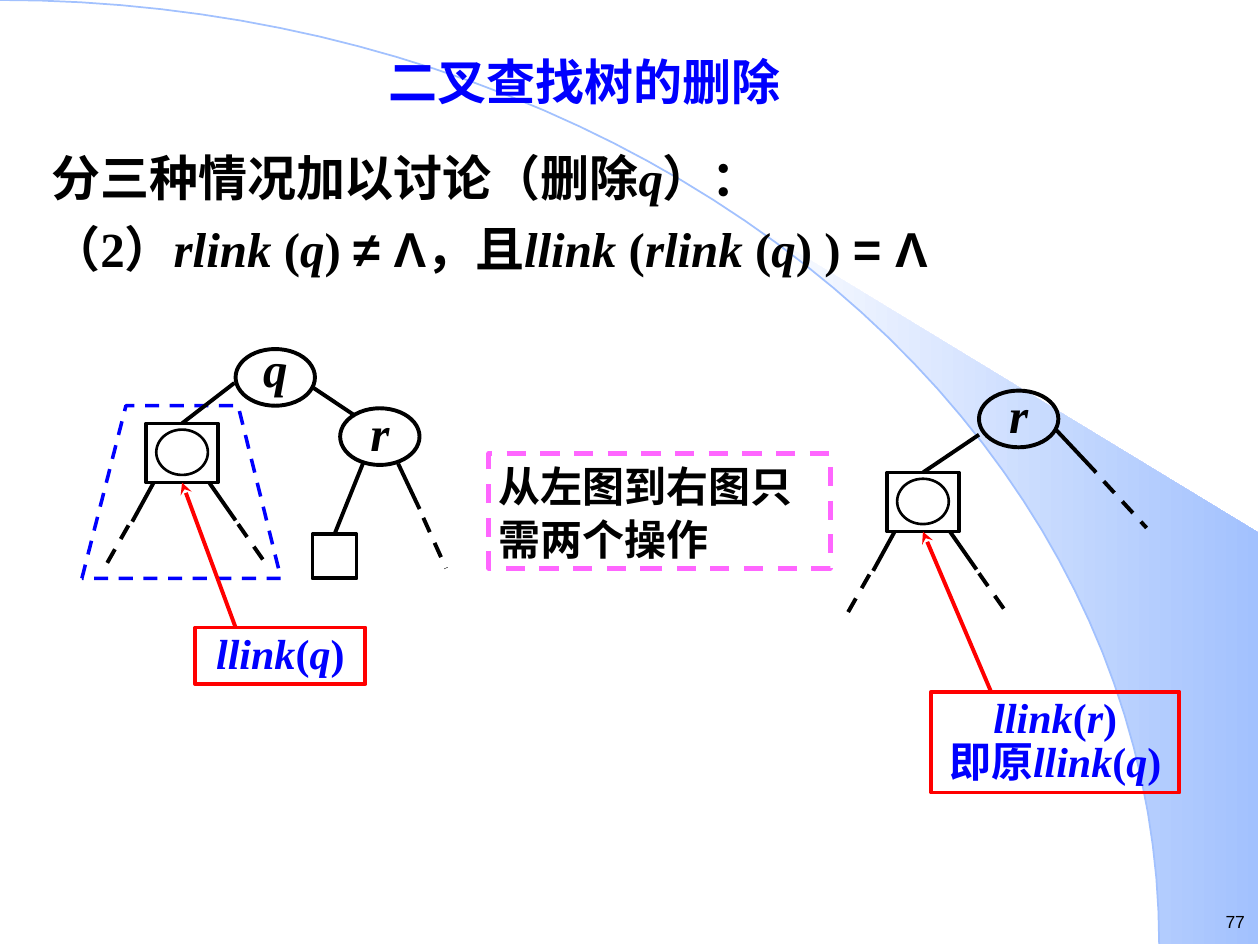
from math import cos, radians, sin

from lxml.etree import SubElement
from pptx import Presentation
from pptx.dml.color import RGBColor
from pptx.enum.dml import MSO_LINE
from pptx.enum.shapes import MSO_CONNECTOR, MSO_SHAPE
from pptx.enum.text import MSO_ANCHOR, PP_ALIGN
from pptx.oxml.ns import qn
from pptx.util import Inches, Pt

rgb = RGBColor.from_string
BLACK, BLUE, RED, PINK, SKY = "000000", "0000FF", "FF0000", "FF66FF", "A2C1FE"
TOP, BOTTOM = 0, 2


def stroke(shape, color, width, dashed=False):
    """Outline a shape or connector and switch its theme shadow off."""
    shape.line.color.rgb = rgb(color)
    shape.line.width = Pt(width)
    if dashed:
        shape.line.dash_style = MSO_LINE.DASH
    SubElement(shape.element.spPr, qn("a:effectLst"))


def write(shape, texts, size, color, align, spacing=None, insets=(0.1, 0.05, 0.1, 0.05),
          font="Times New Roman", bold=True, anchor=MSO_ANCHOR.TOP):
    """Fill a shape with paragraphs; every second part between asterisks is italic."""
    frame = shape.text_frame
    frame.word_wrap = True
    frame.vertical_anchor = anchor
    (frame.margin_left, frame.margin_top,
     frame.margin_right, frame.margin_bottom) = map(Inches, insets)
    for number, text in enumerate(texts):
        paragraph = frame.add_paragraph() if number else frame.paragraphs[0]
        paragraph.alignment = align
        if spacing:
            paragraph.line_spacing = Pt(spacing)
        for position, part in enumerate(text.split("*")):
            if not part:
                continue
            run = paragraph.add_run()
            run.text = part
            run.font.name = "Arial" if "Λ" in part else font
            run.font.size = Pt(size)
            run.font.bold = bold
            run.font.italic = position % 2 == 1
            run.font.color.rgb = rgb(color)


prs = Presentation()
prs.slide_width, prs.slide_height = Inches(10), Inches(7.5)
slide = prs.slides.add_slide(prs.slide_layouts[6])
shapes = slide.shapes

# Background: a quarter ellipse and the shaded panel to its right
ARC_WIDTH, ARC_HEIGHT = 9.2, 7.49
arc = [(Inches(ARC_WIDTH * sin(radians(a))), Inches(ARC_HEIGHT * (1 - cos(radians(a)))))
       for a in range(0, 91, 2)]
panel_edge = arc[20:]
corners = [(Inches(9.99), Inches(7.49)), (Inches(9.99), Inches(4.23))]
builder = shapes.build_freeform(*panel_edge[0])
builder.add_line_segments(panel_edge[1:] + corners)
panel = builder.convert_to_shape()
panel.shadow.inherit = False
panel.line.fill.background()
panel.fill.gradient()
panel.fill.gradient_angle = 0
for stop, color in zip(panel.fill.gradient_stops, ("FFFFFF", SKY)):
    stop.color.rgb = rgb(color)
panel.fill.gradient_stops[0].position = 0
panel.fill.gradient_stops[1].position = 1

builder = shapes.build_freeform(*arc[0])
builder.add_line_segments(arc[1:], close=False)
curve = builder.convert_to_shape()
curve.fill.background()
stroke(curve, SKY, 1)

page_number = shapes.add_textbox(Inches(9.41), Inches(7.18), Inches(0.49), Inches(0.27))
write(page_number, ["77"], 10, BLACK, PP_ALIGN.RIGHT, insets=(0.02, 0.05, 0.02, 0.05),
      font="Arial", bold=False)

# Title and case statement
statement = shapes.add_textbox(Inches(0.31), Inches(0.36), Inches(8.66), Inches(2.01))
write(statement, [
    "二叉查找树的删除",
    "分三种情况加以讨论（删除*q*）：",
    "（2）*rlink* (*q*) **≠ Λ**，且*llink* (*rlink* (*q*) ) **= Λ",
], 28, BLACK, PP_ALIGN.LEFT)
title, *cases = statement.text_frame.paragraphs
title.alignment = PP_ALIGN.CENTER
title.space_after = Pt(14)
title.runs[0].font.color.rgb = rgb(BLUE)
for case in cases:
    case.space_before = Pt(7)

# Tree nodes
for name, left, top, bottom_inset in (
        ("q", 1.87, 2.77, 0.08), ("r", 2.7, 3.24, 0), ("r", 7.77, 3.1, 0)):
    node = shapes.add_shape(MSO_SHAPE.OVAL, Inches(left), Inches(top), Inches(0.63), Inches(0.45))
    node.fill.background()
    stroke(node, BLACK, 2.25)
    write(node, [f"*{name}*"], 28, BLACK, PP_ALIGN.CENTER, spacing=28,
          insets=(0, 0, 0, bottom_inset), anchor=MSO_ANCHOR.MIDDLE)

empty_leaf = shapes.add_shape(MSO_SHAPE.RECTANGLE, Inches(2.48), Inches(4.24),
                              Inches(0.35), Inches(0.35))
empty_leaf.fill.background()
stroke(empty_leaf, BLACK, 2.25)

# Edges: from x, y, to x, y, dashed
edges = [
    (2.49, 3.08, 2.82, 3.3, False),
    (3.16, 3.68, 3.33, 4.04, False),
    (3.36, 4.11, 3.54, 4.51, True),
    (8.38, 3.41, 8.7, 3.75, False),
    (8.76, 3.82, 9.1, 4.19, True),
]
branches = [
    (0.5, 0.47, 0.71, 0.77, False),
    (0.73, 0.8, 0.94, 1.1, True),
    (0.06, 0.47, -0.11, 0.78, False),
    (-0.14, 0.81, -0.31, 1.11, True),
]
subtrees = []
for left, top in ((1.16, 3.36), (7.04, 3.75)):
    subtree = shapes.add_shape(MSO_SHAPE.RECTANGLE, Inches(left), Inches(top),
                               Inches(0.57), Inches(0.47))
    root = shapes.add_shape(MSO_SHAPE.OVAL, Inches(left + 0.08), Inches(top + 0.05),
                            Inches(0.41), Inches(0.36))
    for part, width in ((subtree, 2), (root, 1.5)):
        part.fill.background()
        stroke(part, BLACK, width)
    subtrees.append(subtree)
    edges += [(left + x1, top + y1, left + x2, top + y2, dashed)
              for x1, y1, x2, y2, dashed in branches]

for x1, y1, x2, y2, dashed in edges:
    edge = shapes.add_connector(MSO_CONNECTOR.STRAIGHT, *map(Inches, (x1, y1, x2, y2)))
    stroke(edge, BLACK, 2.25, dashed)

# Dashed trapezoid round the left subtree
builder = shapes.build_freeform(Inches(0.65), Inches(4.59))
builder.add_line_segments([(Inches(x), Inches(y))
                           for x, y in ((1, 3.22), (1.89, 3.22), (2.23, 4.59))])
subtree_frame = builder.convert_to_shape()
subtree_frame.fill.background()
stroke(subtree_frame, BLUE, 2, dashed=True)

# Boxed labels
for left, top, width, height, texts in (
        (7.39, 5.49, 1.97, 0.8, ["*llink*(*r*)", "即原*llink*(*q*)"]),
        (1.55, 4.98, 1.35, 0.45, ["*llink*(*q*)"])):
    label = shapes.add_shape(MSO_SHAPE.RECTANGLE, *map(Inches, (left, top, width, height)))
    label.fill.background()
    stroke(label, RED, 2.25)
    write(label, texts, 24, BLUE, PP_ALIGN.CENTER, spacing=25)

note = shapes.add_shape(MSO_SHAPE.RECTANGLE, Inches(3.88), Inches(3.6), Inches(2.71), Inches(0.91))
note.fill.background()
stroke(note, PINK, 2.75, dashed=True)
write(note, ["从左图到右图只", "需两个操作"], 24, BLACK, PP_ALIGN.LEFT, spacing=30,
      insets=(0.08, 0.04, 0.04, 0.04), anchor=MSO_ANCHOR.MIDDLE)

# Links that end at the middle of a box side
left_subtree, right_subtree = subtrees
for x, y, target, side, color in (
        (1.86, 3.04, left_subtree, TOP, BLACK),
        (2.88, 3.68, empty_leaf, TOP, BLACK),
        (7.77, 3.45, right_subtree, TOP, BLACK),
        (1.87, 4.98, left_subtree, BOTTOM, RED),
        (7.87, 5.5, right_subtree, BOTTOM, RED)):
    link = shapes.add_connector(MSO_CONNECTOR.STRAIGHT, Inches(x), Inches(y), Inches(x), Inches(y))
    link.end_connect(target, side)
    stroke(link, color, 2.25)
    if color == RED:
        SubElement(link.element.spPr.find(qn("a:ln")), qn("a:tailEnd"), type="stealth")

prs.save("out.pptx")
